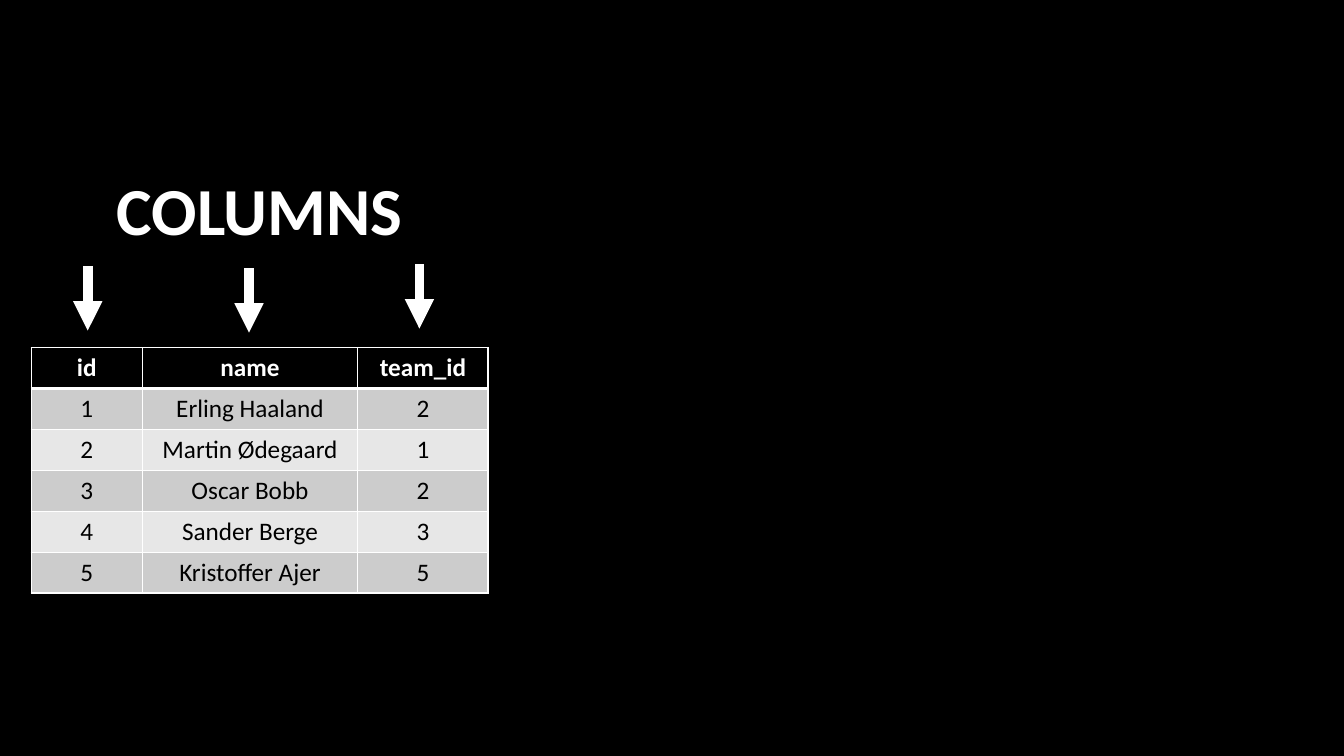
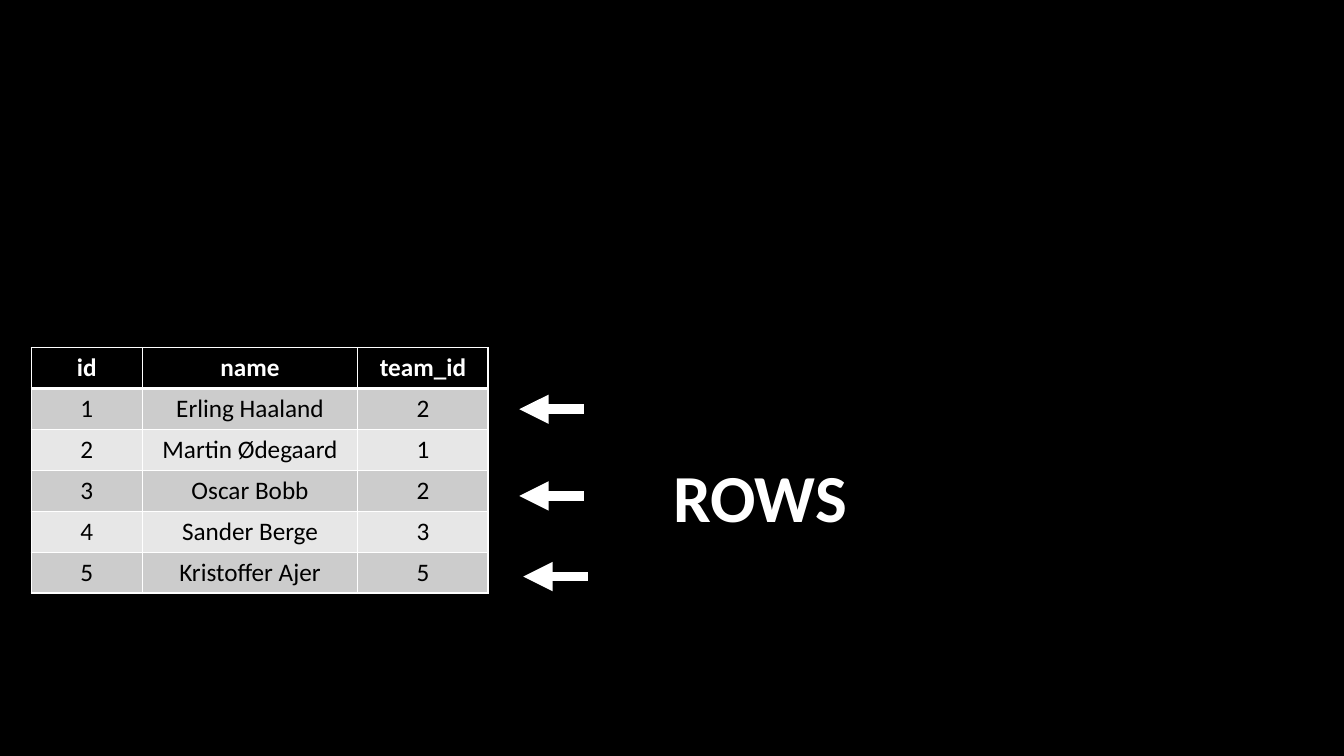
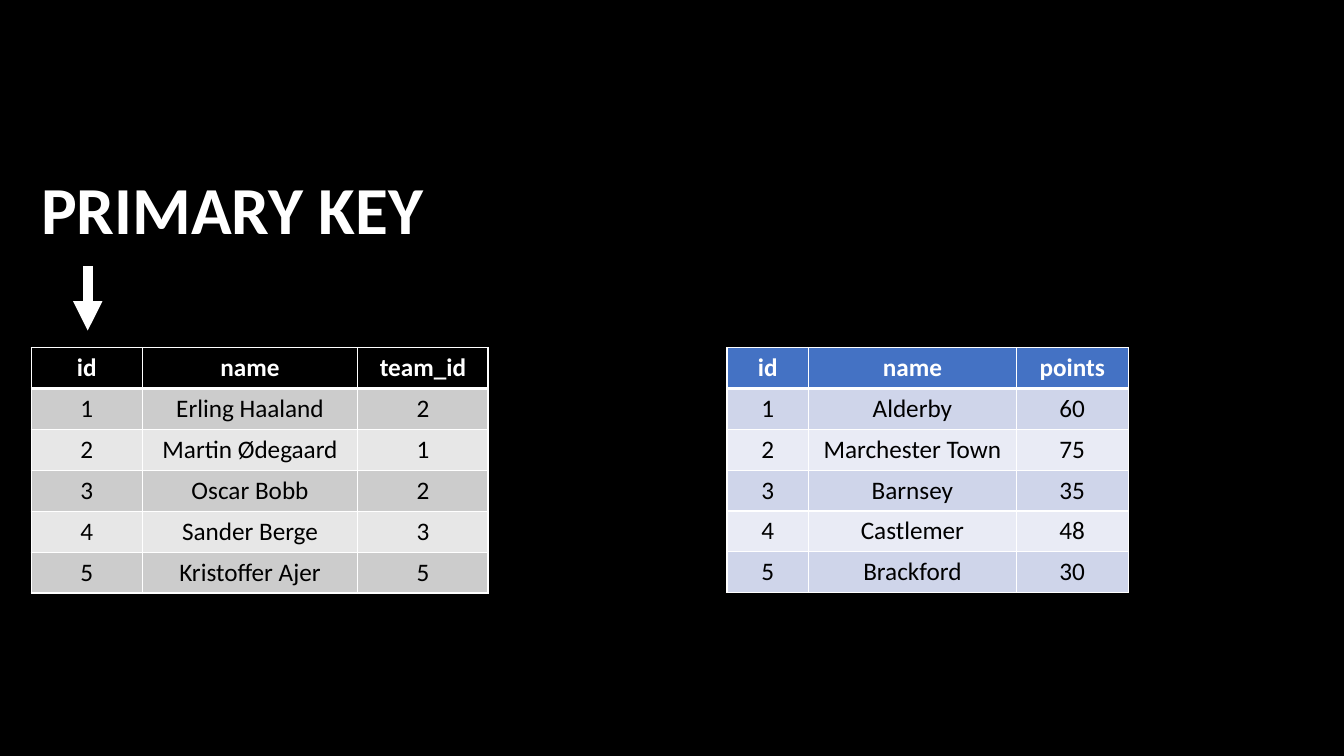
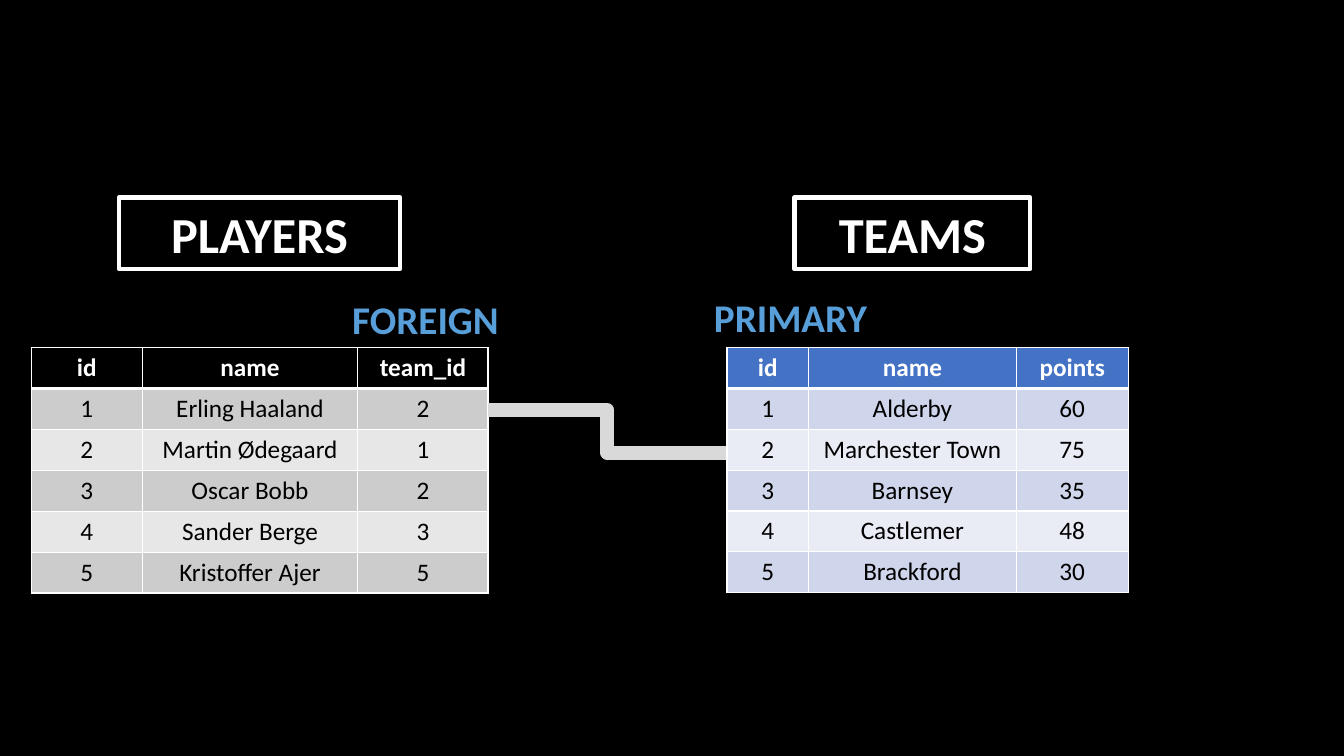
from dataclasses import dataclass
from typing import NamedTuple

from pptx import Presentation
from pptx.dml.color import RGBColor
from pptx.enum.shapes import MSO_CONNECTOR as Connector, MSO_SHAPE as Preset
from pptx.enum.text import MSO_AUTO_SIZE as AutoSize, PP_ALIGN as Align
from pptx.oxml.ns import qn
from pptx.util import Inches, Pt
from lxml.etree import SubElement

rgb = RGBColor.from_string


class Palette(NamedTuple):
    header: RGBColor
    odd: RGBColor
    even: RGBColor


@dataclass(frozen=True)
class Theme:
    font: str = "Calibri"
    # Colours
    black: RGBColor = rgb("000000")
    white: RGBColor = rgb("FFFFFF")
    key: RGBColor = rgb("589FDA")
    link: RGBColor = rgb("D9D9D9")
    mono: Palette = Palette(rgb("000000"), rgb("CCCCCC"), rgb("E7E7E7"))
    blue: Palette = Palette(rgb("4472C4"), rgb("CFD5EA"), rgb("E9EBF5"))
    # Type sizes
    heading: int = 48
    caption: int = 36
    tag: int = 28
    cell: int = 18
    # Line widths
    grid: int = 1
    rule: int = 3
    arrow: int = 7
    relation: int = 10


@dataclass(frozen=True)
class DataTable:
    left: float
    widths: tuple
    palette: Palette
    rows: tuple

    @property
    def right(self):
        return self.left + sum(self.widths)


THEME = Theme()
TABLE_TOP, TABLE_HEIGHT = 3.45, 2.43
ARROW_LENGTH = 0.64

PLAYERS = DataTable(0.31, (1.1, 2.14, 1.29), THEME.mono, (
    ("id", "name", "team_id"),
    ("1", "Erling Haaland", "2"),
    ("2", "Martin Ødegaard", "1"),
    ("3", "Oscar Bobb", "2"),
    ("4", "Sander Berge", "3"),
    ("5", "Kristoffer Ajer", "5"),
))
TEAMS = DataTable(7.21, (0.81, 2.06, 1.11), THEME.blue, (
    ("id", "name", "points"),
    ("1", "Alderby", "60"),
    ("2", "Marchester Town", "75"),
    ("3", "Barnsey", "35"),
    ("4", "Castlemer", "48"),
    ("5", "Brackford", "30"),
))


class Deck:
    """Holds the style and the slide being built."""

    def __init__(self, theme):
        self.theme = theme
        self.prs = Presentation()
        self.prs.slide_width, self.prs.slide_height = Inches(13.33), Inches(7.5)
        backdrop = self.prs.slide_master.background.fill
        backdrop.solid()
        backdrop.fore_color.rgb = theme.black
        self.slide = None

    def new_slide(self):
        self.slide = self.prs.slides.add_slide(self.prs.slide_layouts[6])

    def set_text(self, frame, text, size, color, bold=True, align=Align.CENTER):
        paragraph = frame.paragraphs[0]
        paragraph.text = text
        paragraph.alignment = align
        font = paragraph.font
        font.name, font.size, font.bold = self.theme.font, Pt(size), bold
        font.color.rgb = color

    def label(self, text, left, top, width, height, size, color, align=Align.CENTER):
        box = self.slide.shapes.add_textbox(
            Inches(left), Inches(top), Inches(width), Inches(height))
        box.text_frame.word_wrap = True
        box.text_frame.auto_size = AutoSize.SHAPE_TO_FIT_TEXT
        self.set_text(box.text_frame, text, size, color, align=align)

    def heading(self, text, left, top, width, align=Align.CENTER):
        self.label(text, left, top, width, 0.91,
                   self.theme.heading, self.theme.white, align)

    def key_tag(self, text, left, top):
        self.label(text, left, top, 2.34, 0.57, self.theme.tag, self.theme.key)

    def caption(self, text, left, width):
        frame = self.slide.shapes.add_shape(
            Preset.RECTANGLE, Inches(left), Inches(1.96), Inches(width), Inches(0.71))
        frame.shadow.inherit = False
        frame.fill.background()
        frame.line.color.rgb = self.theme.white
        frame.line.width = Pt(self.theme.rule)
        frame.text_frame.word_wrap = True
        self.set_text(frame.text_frame, text, self.theme.caption, self.theme.white)

    def connector(self, kind, start, end, color, width):
        line = self.slide.shapes.add_connector(
            kind, *(Inches(value) for value in (*start, *end)))
        line.line.color.rgb = color
        line.line.width = Pt(width)
        SubElement(line._element.spPr, qn("a:effectLst"))
        return line

    def arrow(self, start, end):
        line = self.connector(Connector.STRAIGHT, start, end,
                              self.theme.white, self.theme.arrow)
        SubElement(line._element.spPr.find(qn("a:ln")), qn("a:tailEnd"), type="triangle")

    def down_arrow(self, x, top):
        self.arrow((x, top), (x, top + ARROW_LENGTH))

    def left_arrow(self, tip, y):
        self.arrow((tip + ARROW_LENGTH, y), (tip, y))

    def relation(self, start, end):
        self.connector(Connector.ELBOW, start, end,
                       self.theme.link, self.theme.relation)

    def borders(self, cell, row):
        heavy = {0: "lnB", 1: "lnT"}.get(row)
        for side in ("lnL", "lnR", "lnT", "lnB"):
            width = self.theme.rule if side == heavy else self.theme.grid
            edge = SubElement(cell._tc.get_or_add_tcPr(), qn(f"a:{side}"), w=str(Pt(width)))
            fill = SubElement(edge, qn("a:solidFill"))
            SubElement(fill, qn("a:srgbClr"), val=str(self.theme.white))

    def table(self, data):
        grid = self.slide.shapes.add_table(
            len(data.rows), len(data.widths), Inches(data.left), Inches(TABLE_TOP),
            Inches(sum(data.widths)), Inches(TABLE_HEIGHT)).table
        grid.horz_banding = False
        for column, width in zip(grid.columns, data.widths):
            column.width = Inches(width)
        for r, values in enumerate(data.rows):
            header = r == 0
            band = data.palette.odd if r % 2 else data.palette.even
            for c, value in enumerate(values):
                cell = grid.cell(r, c)
                self.borders(cell, r)
                cell.fill.solid()
                cell.fill.fore_color.rgb = data.palette.header if header else band
                color = self.theme.white if header else self.theme.black
                self.set_text(cell.text_frame, value, self.theme.cell, color, bold=header)


def main():
    deck = Deck(THEME)

    # Columns
    deck.new_slide()
    deck.table(PLAYERS)
    deck.heading("COLUMNS", 0.65, 1.62, 3.85)
    for x, top in ((0.87, 2.64), (2.47, 2.66), (4.16, 2.62)):
        deck.down_arrow(x, top)

    # Rows
    deck.new_slide()
    deck.table(PLAYERS)
    deck.heading("ROWS", 6.29, 4.47, 2.5)
    for tip, y in ((5.15, 4.06), (5.15, 4.92), (5.19, 5.72)):
        deck.left_arrow(tip, y)

    # Primary key
    deck.new_slide()
    deck.table(PLAYERS)
    deck.heading("PRIMARY KEY", 0.31, 1.61, 5.05, Align.LEFT)
    deck.down_arrow(0.87, 2.64)
    deck.table(TEAMS)

    # Foreign key pointing at a primary key
    deck.new_slide()
    deck.table(PLAYERS)
    deck.key_tag("FOREIGN", 3.05, 2.88)
    deck.relation((PLAYERS.right, 4.07), (TEAMS.left, 4.49))
    deck.key_tag("PRIMARY", 6.67, 2.86)
    deck.caption("TEAMS", 7.88, 2.34)
    deck.caption("PLAYERS", 1.18, 2.79)
    deck.table(TEAMS)

    deck.prs.save("out.pptx")


if __name__ == "__main__":
    main()
